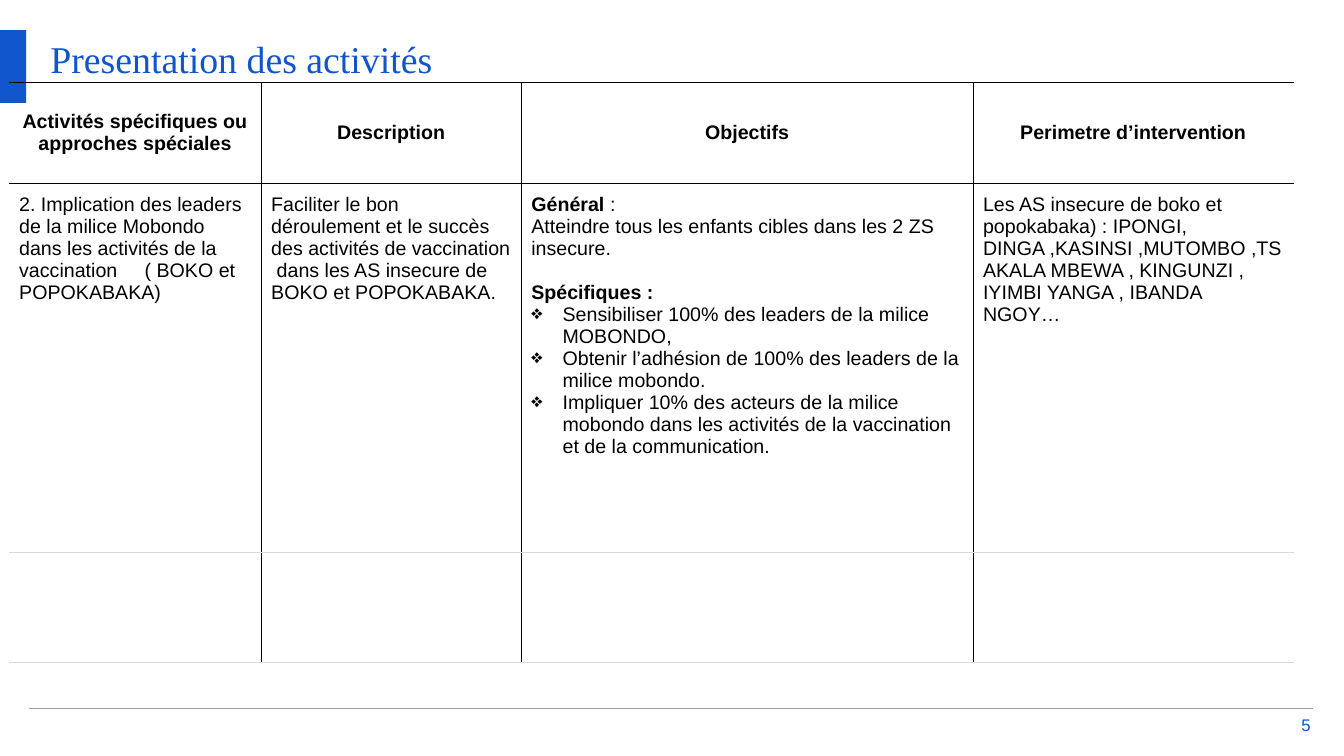
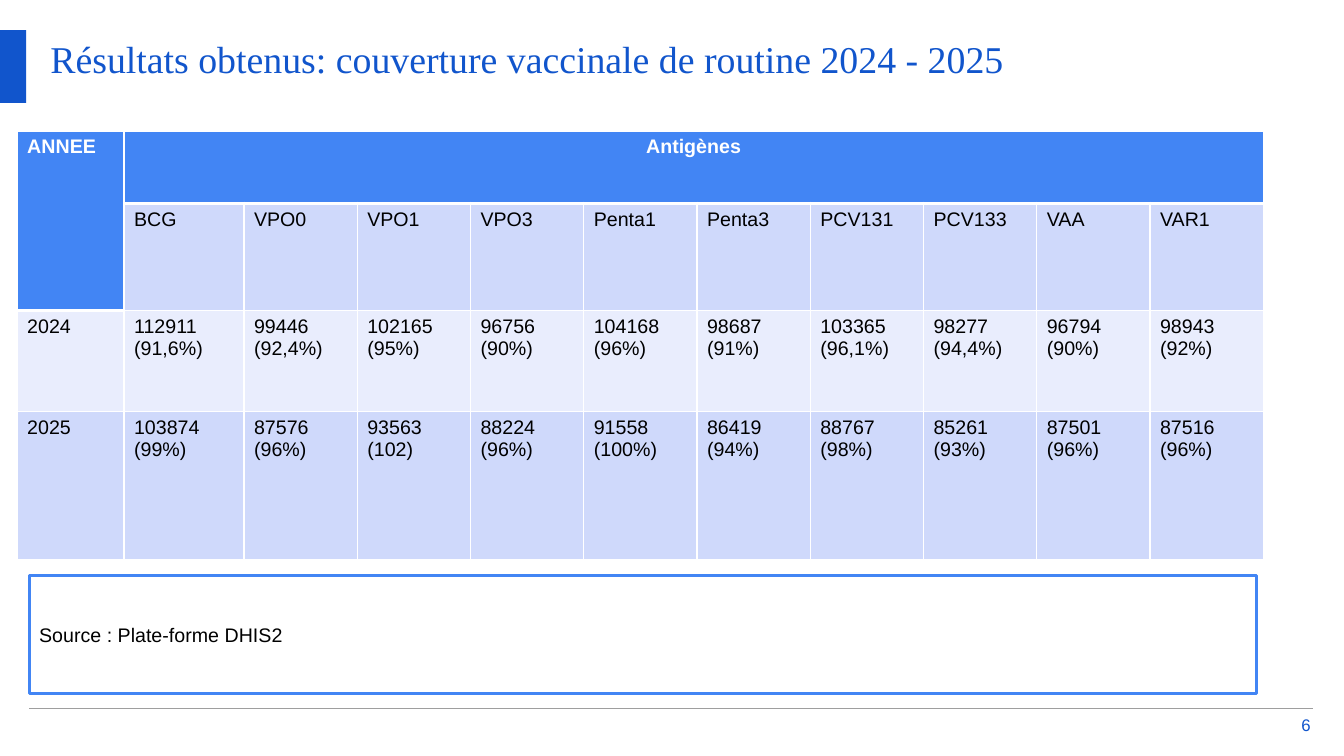
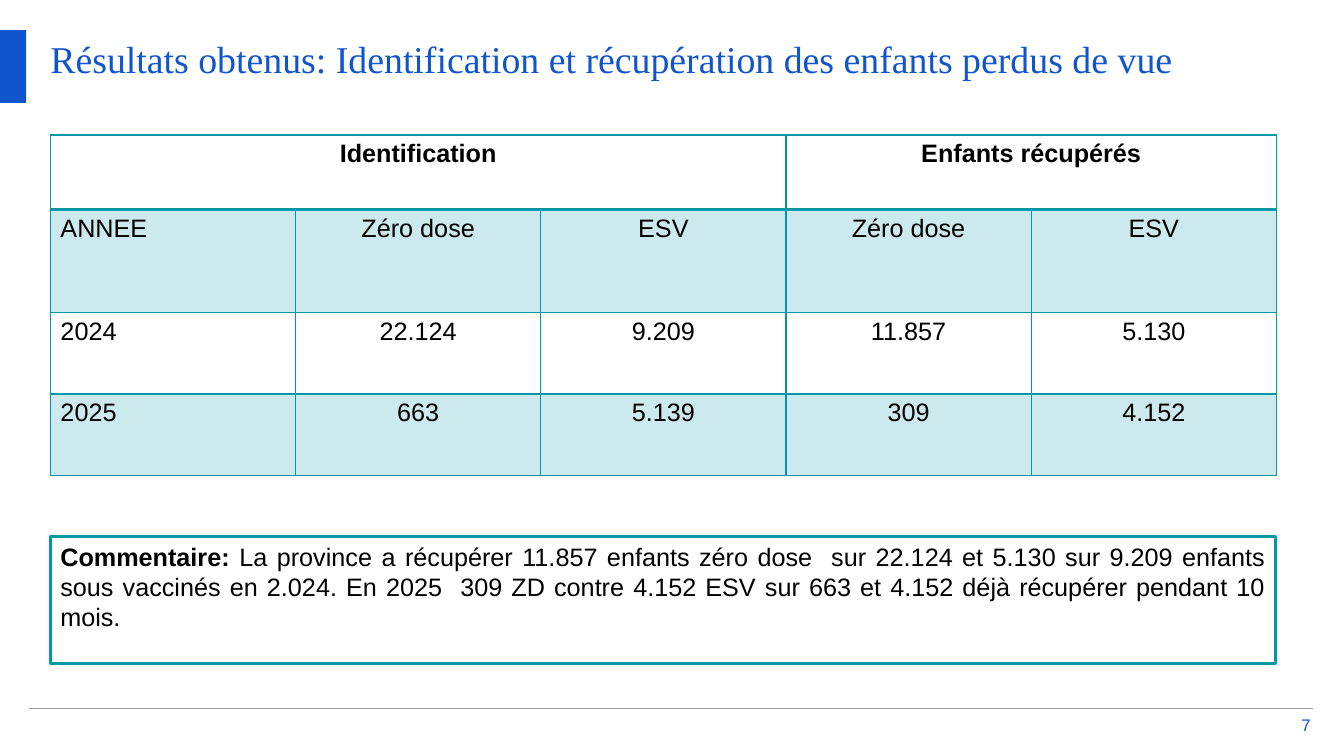
from typing import NamedTuple

from lxml import etree
from pptx import Presentation
from pptx.dml.color import RGBColor
from pptx.enum.shapes import MSO_CONNECTOR, MSO_SHAPE
from pptx.enum.text import MSO_ANCHOR, PP_ALIGN
from pptx.oxml.ns import qn
from pptx.util import Pt

LEFT, CENTER, RIGHT, JUSTIFY = PP_ALIGN.LEFT, PP_ALIGN.CENTER, PP_ALIGN.RIGHT, PP_ALIGN.JUSTIFY
TOP, MIDDLE = MSO_ANCHOR.TOP, MSO_ANCHOR.MIDDLE
EMU_PER_PX = 9144  # 100 px to the inch
NO_TABLE_STYLE = "{2D5ABB26-0587-4C30-8999-92F81FD0307C}"
TITLE_FONT, BODY_FONT = "Times New Roman", "Arial"
COLORS = {
    "accent": "1155CC", "rule": "9E9E9E", "black": "000000", "white": "FFFFFF",
    "grey": "D9D9D9", "blue": "4285F4", "blue_mid": "CFD9FB", "blue_pale": "E9EDFD",
    "teal": "0097A7",
}


class Para(NamedTuple):
    """A paragraph: bold lead, then text; gap is the space before in points."""
    text: str
    lead: str = ""
    bullet: bool = False
    gap: int = 0


ACTIVITIES = [
    ["Activités spécifiques ou approches spéciales", "Description", "Objectifs",
     "Perimetre d’intervention"],
    ["2. Implication des leaders de la milice Mobondo dans les activités de la vaccination"
     "     ( BOKO et POPOKABAKA)",
     "Faciliter le bon déroulement et le succès des activités de vaccination"
     "  dans les AS insecure de BOKO et POPOKABAKA.",
     [Para(":", lead="Général "),
      Para("Atteindre tous les enfants cibles dans les 2 ZS insecure."),
      Para("", lead="Spécifiques :", gap=16),
      Para("Sensibiliser 100% des leaders de la milice MOBONDO,", bullet=True),
      Para("Obtenir l’adhésion de 100% des leaders de la milice mobondo.", bullet=True),
      Para("Impliquer 10% des acteurs de la milice mobondo dans les activités de la "
           "vaccination et de la communication.", bullet=True)],
     "Les AS insecure de boko et popokabaka) : IPONGI, DINGA ,KASINSI ,MUTOMBO ,"
     "TSAKALA MBEWA , KINGUNZI , IYIMBI YANGA , IBANDA NGOY…"],
    ["", "", "", ""],
]
ANTIGENS = ["BCG", "VPO0", "VPO1", "VPO3", "Penta1", "Penta3", "PCV131", "PCV133", "VAA", "VAR1"]
COVERAGE = {
    "2024": ["112911 (91,6%)", "99446 (92,4%)", "102165 (95%)", "96756 (90%)", "104168 (96%)",
             "98687 (91%)", "103365 (96,1%)", "98277 (94,4%)", "96794 (90%)", "98943 (92%)"],
    "2025": ["103874 (99%)", "87576 (96%)", "93563 (102)", "88224 (96%)", "91558 (100%)",
             "86419 (94%)", "88767 (98%)", "85261 (93%)", "87501 (96%)", "87516 (96%)"],
}
CHILDREN = [
    ["Identification", "", "", "Enfants récupérés", ""],
    ["ANNEE", "Zéro dose", "ESV", "Zéro dose", "ESV"],
    ["2024", "22.124", "9.209", "11.857", "5.130"],
    ["2025", "663", "5.139", "309", "4.152"],
]
SOURCE = Para("Source : Plate-forme DHIS2")
COMMENT = Para(
    " La province a récupérer 11.857 enfants zéro dose  sur 22.124 et 5.130 sur 9.209 enfants "
    "sous vaccinés en 2.024. En 2025  309 ZD contre 4.152 ESV sur 663 et 4.152 déjà récupérer "
    "pendant 10 mois.", lead="Commentaire:")


def px(*lengths):
    return [round(length * EMU_PER_PX) for length in lengths]


def rgb(color):
    return RGBColor.from_string(COLORS[color])


def add_bullet(paragraph):
    properties = paragraph._p.get_or_add_pPr()
    indent, = px(31)
    properties.set("marL", str(indent))
    properties.set("indent", str(-indent))
    etree.SubElement(properties, qn("a:buChar")).set("char", "❖")


def write(frame, paras, size, color="black", font=BODY_FONT, align=LEFT, bold=False):
    frame.word_wrap = True
    for index, para in enumerate(paras):
        paragraph = frame.add_paragraph() if index else frame.paragraphs[0]
        paragraph.alignment = align
        if para.bullet:
            add_bullet(paragraph)
        if para.gap:
            paragraph.space_before = Pt(para.gap)
        for text, is_bold in ((para.lead, True), (para.text, bold)):
            if text:
                run = paragraph.add_run()
                run.text = text
                run.font.name, run.font.size, run.font.bold = font, Pt(size), is_bold
                run.font.color.rgb = rgb(color)


def add_label(slide, text, box, size, font, align, anchor):
    frame = slide.shapes.add_textbox(*px(*box)).text_frame
    frame.margin_left = frame.margin_right = frame.margin_top = frame.margin_bottom = 0
    frame.vertical_anchor = anchor
    write(frame, [Para(text)], size, "accent", font, align)


def add_box(slide, box, fill, border=None):
    shape = slide.shapes.add_shape(MSO_SHAPE.RECTANGLE, *px(*box))
    shape.shadow.inherit = False
    shape.fill.solid()
    shape.fill.fore_color.rgb = rgb(fill)
    if border:
        shape.line.color.rgb = rgb(border)
        shape.line.width = Pt(2)
    else:
        shape.line.fill.background()
    return shape


def add_note(slide, box, border, para, size, anchor):
    frame = add_box(slide, box, "white", border).text_frame
    frame.vertical_anchor = anchor
    write(frame, [para], size, align=JUSTIFY)


def start_slide(deck, title, number):
    """Add a slide with the shared title, side bar, page number and footer rule."""
    slide = deck.slides.add_slide(deck.slide_layouts[6])
    add_label(slide, title, (50, 35, 1233, 80), 27, TITLE_FONT, LEFT, TOP)
    add_box(slide, (0, 30, 26, 72), "accent")
    add_label(slide, str(number), (1275, 710, 25, 18), 12, BODY_FONT, RIGHT, MIDDLE)
    rule = slide.shapes.add_connector(MSO_CONNECTOR.STRAIGHT, *px(29, 703, 1302, 703))
    rule.line.color.rgb = rgb("rule")
    rule.line.width = Pt(1)
    etree.SubElement(rule._element.spPr, qn("a:effectLst"))
    return slide


def add_border(cell, side, line):
    """Draw one side (L, R, T or B); line is (colour, points), or None for no line."""
    border = etree.SubElement(cell._tc.get_or_add_tcPr(), qn("a:ln" + side))
    if line is None:
        etree.SubElement(border, qn("a:noFill"))
        return
    color, points = line
    border.set("w", str(Pt(points)))
    fill = etree.SubElement(border, qn("a:solidFill"))
    etree.SubElement(fill, qn("a:srgbClr")).set("val", COLORS[color])


def fill_cell(cell, fill):
    """Fill with a colour, with (colour, opacity in percent), or with nothing."""
    if fill is None:
        cell.fill.background()
        return
    color, opacity = fill if isinstance(fill, tuple) else (fill, 100)
    cell.fill.solid()
    cell.fill.fore_color.rgb = rgb(color)
    if opacity < 100:
        value = cell._tc.tcPr.find(qn("a:solidFill") + "/" + qn("a:srgbClr"))
        etree.SubElement(value, qn("a:alpha")).set("val", str(opacity * 1000))


def add_grid(slide, corner, widths, heights, rows, size, across, down, fill_of, centred,
             merges=(), exceptions=None, header_color="black"):
    """Build a table; across and down list the lines of the row and column edges.

    exceptions maps (row edge, column) to a line that replaces the one in across.
    """
    exceptions = exceptions or {}
    frame = slide.shapes.add_table(len(heights), len(widths),
                                   *px(*corner, sum(widths), sum(heights)))
    table = frame.table
    table.first_row = table.horz_banding = False
    table._tbl.tblPr.find(qn("a:tableStyleId")).text = NO_TABLE_STYLE
    for column, width in zip(table.columns, px(*widths)):
        column.width = width
    for row, height in zip(table.rows, px(*heights)):
        row.height = height
    for top, left, bottom, right in merges:
        table.cell(top, left).merge(table.cell(bottom, right))
    for r, row in enumerate(rows):
        for c, content in enumerate(row):
            cell = table.cell(r, c)
            if cell.is_spanned:
                continue
            edges = {"L": down[c], "R": down[c + 1],
                     "T": exceptions.get((r, c), across[r]),
                     "B": exceptions.get((r + 1, c), across[r + 1])}
            for side, line in edges.items():
                add_border(cell, side, line)
            fill_cell(cell, fill_of(r, c))
            paras = content if isinstance(content, list) else [Para(content)]
            write(cell.text_frame, paras, size, "black" if r else header_color,
                  align=CENTER if centred(r, c) else LEFT, bold=r == 0)
    return table


def build_activities(deck):
    slide = start_slide(deck, "Presentation des activités", 5)
    black, grey = ("black", 0.75), ("grey", 0.75)
    table = add_grid(
        slide, (9, 82), [250, 258, 448, 318], [100, 366, 109], ACTIVITIES, 14,
        across=[black, black, grey, grey], down=[None, black, black, black, None],
        fill_of=lambda r, c: None, centred=lambda r, c: r == 0)
    for cell in table.iter_cells():
        cell.margin_top = cell.margin_bottom = cell.margin_left = cell.margin_right = px(10)[0]
    for cell in table.rows[0].cells:
        cell.vertical_anchor = MIDDLE


def build_coverage(deck):
    slide = start_slide(deck, "Résultats obtenus: couverture vaccinale de routine 2024 - 2025", 6)
    rows = [["ANNEE", "Antigènes"] + [""] * (len(ANTIGENS) - 1), [""] + ANTIGENS]
    for year, values in COVERAGE.items():
        rows.append([year] + [[Para(part) for part in value.split()] for value in values])
    fills = ["blue", "blue_mid", "blue_pale", "blue_mid"]
    thin, thick = ("white", 1), ("white", 3)
    others = len(ANTIGENS) - 1
    widths = [106, 119] + [(1236 - 106 - 119) / others] * others
    add_grid(
        slide, (17, 130), widths, [72, 106, 100, 147], rows, 14,
        across=[thin, thick, thin, thin, thin], down=[thin] * (len(widths) + 1),
        fill_of=lambda r, c: fills[r], centred=lambda r, c: (r, c) == (0, 1),
        merges=[(0, 0, 1, 0), (0, 1, 0, len(ANTIGENS))], exceptions={(2, 0): thick},
        header_color="white")
    add_note(slide, (29, 571, 1217, 117), "blue", SOURCE, 14, MIDDLE)


def build_children(deck):
    slide = start_slide(
        deck, "Résultats obtenus: Identification et récupération des enfants perdus de vue", 7)
    thin, thick = ("teal", 1), ("teal", 2)
    add_grid(
        slide, (50, 134), [1216 / 5] * 5, [74, 102, 81, 81], CHILDREN, 18,
        across=[thin, thick, thin, thin, thin], down=[thin] * 6,
        fill_of=lambda r, c: ("teal", 20) if r % 2 else None,
        centred=lambda r, c: r == 0 or c > 0,
        merges=[(0, 0, 0, 2), (0, 3, 0, 4)])
    add_note(slide, (50, 532, 1215, 126), "teal", COMMENT, 18, TOP)


def main():
    deck = Presentation()
    deck.slide_width, deck.slide_height = px(1333, 750)
    for build in (build_activities, build_coverage, build_children):
        build(deck)
    deck.save("out.pptx")


if __name__ == "__main__":
    main()
